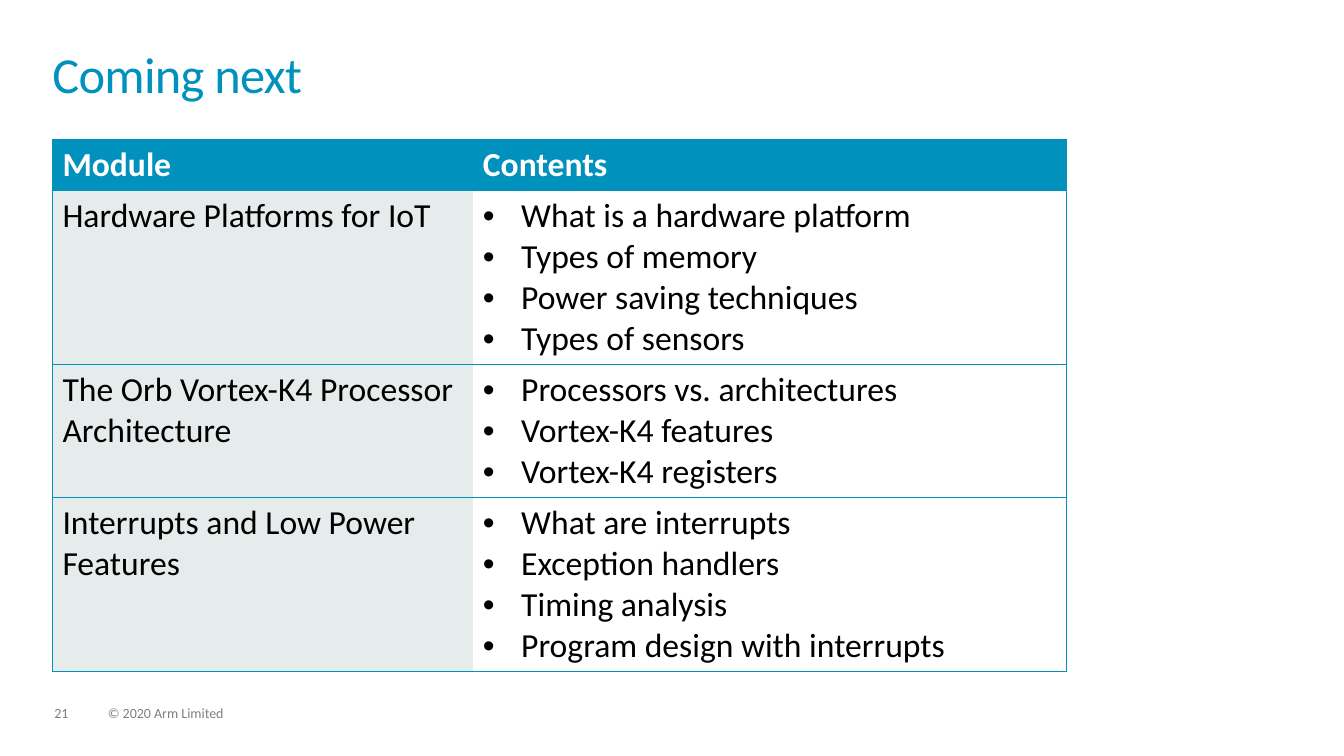
from lxml.etree import SubElement
from pptx import Presentation
from pptx.dml.color import RGBColor
from pptx.enum.text import MSO_ANCHOR
from pptx.oxml import parse_xml
from pptx.oxml.ns import nsdecls, qn
from pptx.util import Inches, Pt

TEAL, GREY, PALE, WHITE, BLACK = "0091BD", "7F7F7F", "E5ECEB", "FFFFFF", "000000"
HEADER = ["Module", "Contents"]
MODULES = [
    ("Hardware Platforms for IoT",
     ["What is a hardware platform", "Types of memory",
      "Power saving techniques", "Types of sensors"]),
    ("The Orb Vortex-K4 Processor Architecture",
     ["Processors vs. architectures", "Vortex-K4 features", "Vortex-K4 registers"]),
    ("Interrupts and Low Power Features",
     ["What are interrupts", "Exception handlers",
      "Timing analysis", "Program design with interrupts"]),
]


def color(value):
    return RGBColor.from_string(value)


def apply(target, values):
    for name, value in values.items():
        setattr(target, name, value)


class ModuleSlide:
    """Holds the style and the current slide, and adds each kind of element."""

    font_name = "Calibri"
    table_size = 24
    line_height = 0.407
    cell_margin = 0.05
    bullet_indent = 0.38

    def __init__(self, deck):
        self.page = deck.slides.add_slide(deck.slide_layouts[6])

    def add_span(self, para, words, size, shade, bold=False):
        span = para.add_run()
        span.text = words
        apply(span.font, {"name": self.font_name, "size": Pt(size), "bold": bold})
        span.font.color.rgb = color(shade)
        return span

    def text(self, place, words, size, shade, line_spacing, tracking=0):
        box = self.page.shapes.add_textbox(*map(Inches, place))
        apply(box.text_frame, {
            "word_wrap": True, "vertical_anchor": MSO_ANCHOR.TOP,
            "margin_left": 0, "margin_right": 0, "margin_top": 0, "margin_bottom": 0})
        para = box.text_frame.paragraphs[0]
        para.line_spacing = line_spacing
        span = self.add_span(para, words, size, shade)
        if tracking:
            span.font._element.set("spc", str(round(tracking * 100)))

    def bullet(self, para):
        props = para._p.get_or_add_pPr()
        props.set("marL", str(Inches(self.bullet_indent)))
        props.set("indent", str(-Inches(self.bullet_indent)))
        SubElement(props, qn("a:buFont")).set("typeface", "Arial")
        SubElement(props, qn("a:buChar")).set("char", "•")

    def borders(self, cell, visible):
        props = cell._tc.get_or_add_tcPr()
        for index, side in enumerate("LRTB"):
            paint = "<a:noFill/>"
            if side in visible:
                paint = f'<a:solidFill><a:srgbClr val="{TEAL}"/></a:solidFill>'
            props.insert(index, parse_xml(
                f'<a:ln{side} {nsdecls("a")} w="{Pt(0.5)}">{paint}</a:ln{side}>'))

    def cell(self, cell, lines, fill, shade, visible, bold=False, bulleted=False):
        apply(cell, {"margin_top": Inches(self.cell_margin),
                     "margin_bottom": Inches(self.cell_margin)})
        cell.fill.solid()
        cell.fill.fore_color.rgb = color(fill)
        self.borders(cell, visible)
        frame = cell.text_frame
        for index, words in enumerate(lines):
            para = frame.add_paragraph() if index else frame.paragraphs[0]
            if bulleted:
                self.bullet(para)
            self.add_span(para, words, self.table_size, shade, bold)

    def table(self, left, top, widths, header, modules):
        counts = [1] + [len(topics) for _, topics in modules]
        heights = [count * self.line_height + 2 * self.cell_margin for count in counts]
        frame = self.page.shapes.add_table(
            len(counts), len(widths), Inches(left), Inches(top),
            Inches(sum(widths)), Inches(sum(heights)))
        table = frame.table
        table.horz_banding = False
        for column, width in zip(table.columns, widths):
            column.width = Inches(width)
        for row, height in zip(table.rows, heights):
            row.height = Inches(height)
        sides = ["LTB", "RTB"]
        for column, words in enumerate(header):
            self.cell(table.cell(0, column), [words], TEAL, WHITE, sides[column], bold=True)
        for row, (module, topics) in enumerate(modules, start=1):
            self.cell(table.cell(row, 0), [module], PALE, BLACK, sides[0])
            self.cell(table.cell(row, 1), topics, WHITE, BLACK, sides[1], bulleted=True)


def main():
    deck = Presentation()
    apply(deck, {"slide_width": Inches(13.33), "slide_height": Inches(7.5)})
    slide = ModuleSlide(deck)
    slide.text((0.54, 7.01, 0.34, 0.15), "21", 10, GREY, 0.9)
    slide.text((1.07, 7.01, 1.71, 0.15), "© 2020 Arm Limited", 10, GREY, 0.9)
    slide.text((0.52, 0.52, 12.28, 0.72), "Coming next", 36, TEAL, 0.85, tracking=-0.5)
    slide.table(0.52, 1.38, [4.17, 5.89], HEADER, MODULES)
    deck.save("out.pptx")


if __name__ == "__main__":
    main()
